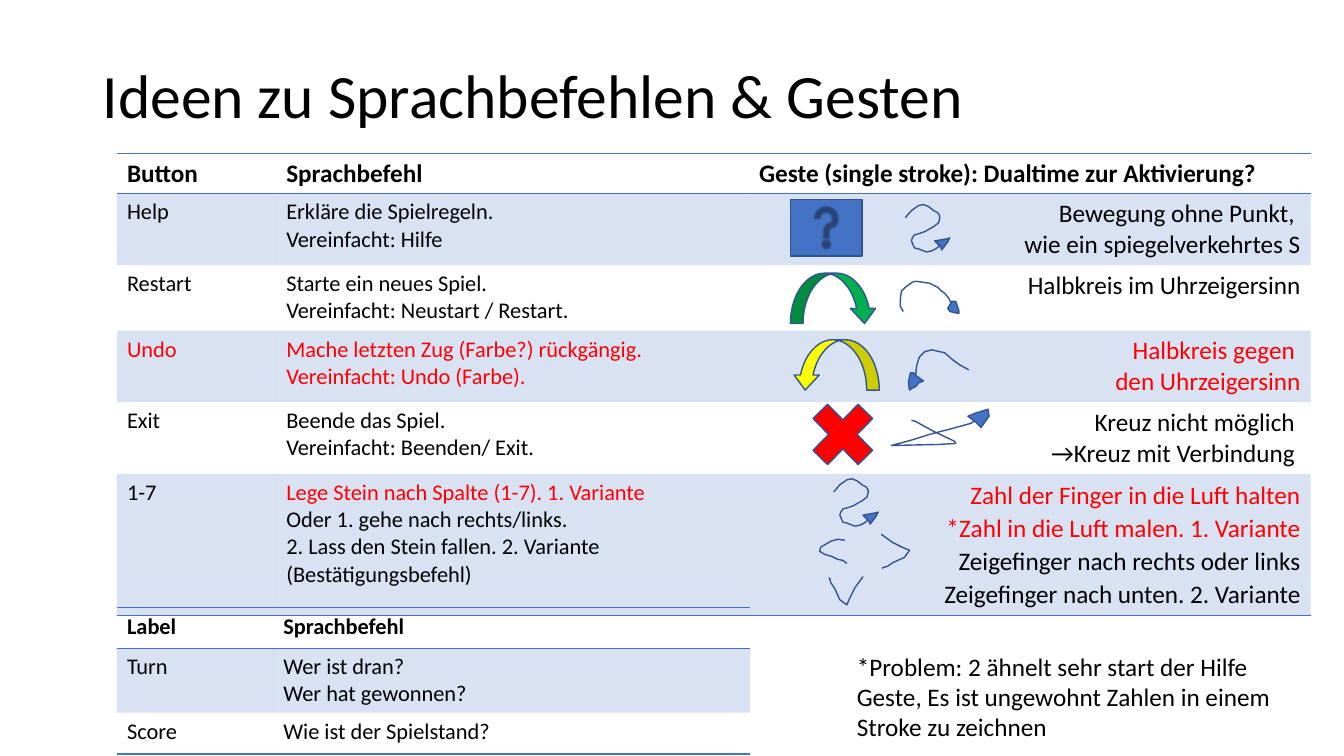
"""Build the slide on voice commands and gestures."""
from pptx import Presentation, util as u
from pptx.dml.color import RGBColor
from pptx.enum import shapes, text
from pptx.oxml import ns, parse_xml

BLACK = RGBColor(0x00, 0x00, 0x00)
RED = RGBColor(0xFF, 0x00, 0x00)
BLUE = RGBColor(0x44, 0x72, 0xC4)
OUTLINE = RGBColor(0x32, 0x54, 0x91)
GREEN = RGBColor(0x00, 0xB0, 0x50)
YELLOW = RGBColor(0xFF, 0xFF, 0x00)
NO_STYLE = "{2D5ABB26-0587-4C30-8999-92F81FD0307C}"

RED_LINES = {
    "Undo",
    "Mache letzten Zug (Farbe?) rückgängig. Vereinfacht: Undo (Farbe).",
    "Halbkreis gegen ",
    "den Uhrzeigersinn",
    "Lege Stein nach Spalte (1-7). 1. Variante",
    "Zahl der Finger in die Luft halten",
    "*Zahl in die Luft malen. 1. Variante",
}

BUTTON_ROWS = [
    ["Button", "Sprachbefehl", "Geste (single stroke): Dualtime zur Aktivierung?"],
    ["Help", "Erkläre die Spielregeln.\nVereinfacht: Hilfe",
     "Bewegung ohne Punkt, \nwie ein spiegelverkehrtes S"],
    ["Restart", "Starte ein neues Spiel. \nVereinfacht: Neustart / Restart.",
     "Halbkreis im Uhrzeigersinn"],
    ["Undo", "Mache letzten Zug (Farbe?) rückgängig. Vereinfacht: Undo (Farbe).",
     "Halbkreis gegen \nden Uhrzeigersinn"],
    ["Exit", "Beende das Spiel. \nVereinfacht: Beenden/ Exit.",
     "Kreuz nicht möglich \n→Kreuz mit Verbindung "],
    ["1-7", "Lege Stein nach Spalte (1-7). 1. Variante\nOder 1. gehe nach rechts/links.\n"
     "2. Lass den Stein fallen. 2. Variante\n(Bestätigungsbefehl)",
     "Zahl der Finger in die Luft halten\n*Zahl in die Luft malen. 1. Variante\n"
     "Zeigefinger nach rechts oder links\nZeigefinger nach unten. 2. Variante"],
]
LABEL_ROWS = [
    ["Label", "Sprachbefehl"],
    ["Turn", "Wer ist dran?\nWer hat gewonnen?"],
    ["Score", "Wie ist der Spielstand?"],
]
TABLES = [
    (1.52, [1.58, 4.69, 5.57], [0.4, 0.71, 0.65, 0.71, 0.71, 1.41], BUTTON_ROWS, 18),
    (6.03, [1.55, 4.73], [0.4, 0.64, 0.41], LABEL_ROWS, 16),
]

S_STROKE = [(8.27, 4.88), (8.33, 4.81), (8.4, 4.76), (8.45, 4.75), (8.5, 4.77), (8.55, 4.81),
            (8.59, 4.83), (8.61, 4.86), (8.61, 4.89), (8.6, 4.93), (8.55, 4.97), (8.53, 4.98),
            (8.46, 5.02), (8.4, 5.04), (8.36, 5.05), (8.34, 5.08), (8.33, 5.11), (8.36, 5.18),
            (8.4, 5.19), (8.48, 5.22), (8.53, 5.21), (8.57, 5.19), (8.6, 5.17), (8.6, 5.13)]
S_HEAD = [(8.56, 5.11), (8.68, 5.09), (8.71, 5.08), (8.69, 5.12), (8.63, 5.2), (8.62, 5.17)]
CLOCKWISE_STROKE = [(8.96, 3.09), (8.93, 3.04), (8.93, 2.97), (8.94, 2.89), (8.98, 2.85),
                    (9.05, 2.8), (9.08, 2.79), (9.15, 2.8), (9.22, 2.81), (9.3, 2.85),
                    (9.33, 2.88), (9.37, 2.91), (9.41, 2.96), (9.43, 3), (9.46, 3.06)]
CLOCKWISE_HEAD = [(9.4, 3.06), (9.44, 2.99), (9.48, 2.99), (9.51, 3.08), (9.51, 3.11),
                  (9.42, 3.09)]
COUNTER_STROKE = [(9.61, 3.67), (9.52, 3.62), (9.45, 3.57), (9.37, 3.5), (9.24, 3.47),
                  (9.17, 3.49), (9.12, 3.54), (9.1, 3.6), (9.09, 3.64), (9.08, 3.75)]
COUNTER_HEAD = [(9.03, 3.7), (9.06, 3.7), (9.09, 3.73), (9.16, 3.78), (9.11, 3.8),
                (9.09, 3.83), (9.05, 3.85), (9.02, 3.87), (9.01, 3.79)]
CROSS_STROKE = [(9.04, 4.17), (9.08, 4.18), (9.15, 4.22), (9.28, 4.29), (9.41, 4.35),
                (9.47, 4.38), (9.48, 4.4), (9.3, 4.41), (8.84, 4.42), (9.03, 4.37),
                (9.22, 4.31), (9.45, 4.25), (9.63, 4.2), (9.71, 4.15)]
CROSS_HEAD = [(9.6, 4.13), (9.68, 4.19), (9.7, 4.21), (9.73, 4.24), (9.81, 4.13),
              (9.8, 4.06), (9.67, 4.1)]
LEFT_STROKE = [(8.38, 5.36), (8.31, 5.35), (8.24, 5.37), (8.14, 5.43), (8.13, 5.47),
               (8.18, 5.5), (8.25, 5.52), (8.31, 5.55), (8.36, 5.56), (8.4, 5.59)]
RIGHT_STROKE = [(8.74, 5.3), (8.85, 5.38), (8.95, 5.43), (9.02, 5.46), (8.97, 5.53),
                (8.86, 5.58), (8.8, 5.62), (8.76, 5.63), (8.75, 5.64)]
DOWN_STROKE = [(8.38 - (y - 5.48), 5.86 + (x - 8.88)) for x, y in RIGHT_STROKE]
HELP_STROKE, HELP_HEAD = [[(x + 0.71, y - 2.72) for x, y in points]
                          for points in (S_STROKE, S_HEAD)]


def write_text(text_frame, content, size, bold=False):
    text_frame.text = content
    for paragraph in text_frame.paragraphs:
        for run in paragraph.runs:
            run.font.name = "Calibri"
            run.font.size = u.Pt(size)
            run.font.bold = bold
            run.font.color.rgb = RED if run.text in RED_LINES else BLACK


def paint(shape, color):
    shape.shadow.inherit = False
    shape.line.color.rgb = OUTLINE
    shape.line.width = u.Pt(1)
    if color is None:
        shape.fill.background()
    else:
        shape.fill.solid()
        shape.fill.fore_color.rgb = color


presentation = Presentation()
presentation.slide_width = u.Inches(13.33)
presentation.slide_height = u.Inches(7.5)
slide = presentation.slides.add_slide(presentation.slide_layouts[6])

title = slide.shapes.add_textbox(u.Inches(0.92), u.Inches(0.25), u.Inches(11.5), u.Inches(1.45))
title.text_frame.word_wrap = True
title.text_frame.vertical_anchor = text.MSO_ANCHOR.MIDDLE
write_text(title.text_frame, "Ideen zu Sprachbefehlen & Gesten", 44)
title.text_frame.paragraphs[0].line_spacing = 0.9

for top, widths, heights, rows, header_size in TABLES:
    frame = slide.shapes.add_table(len(rows), len(widths), u.Inches(1.16), u.Inches(top),
                                   u.Inches(sum(widths)), u.Inches(sum(heights)))
    frame.element.find(".//" + ns.qn("a:tableStyleId")).text = NO_STYLE
    table = frame.table
    table.horz_banding = False
    for column, width in zip(table.columns, widths):
        column.width = u.Inches(width)
    for i, (row, height) in enumerate(zip(rows, heights)):
        table.rows[i].height = u.Inches(height)
        for j, content in enumerate(row):
            cell = table.cell(i, j)
            size = header_size if i == 0 else 18 if j == 2 else 16
            write_text(cell.text_frame, content, size, bold=i == 0)
            if j == 2 and i > 0:
                for paragraph in cell.text_frame.paragraphs:
                    paragraph.alignment = text.PP_ALIGN.RIGHT
                    if i == len(rows) - 1:
                        paragraph.line_spacing = 1.07
            properties = cell._tc.get_or_add_tcPr()
            if i % 2:
                cell.fill.solid()
                cell.fill.fore_color.rgb = BLUE
                color = properties.find(".//" + ns.qn("a:srgbClr"))
                color.append(parse_xml(f'<a:alpha {ns.nsdecls("a")} val="20000"/>'))
            else:
                cell.fill.background()
            sides = ["lnB", "lnT"] if i == 0 else ["lnB"] if i == len(rows) - 1 else []
            for side in sides:
                properties.insert(0, parse_xml(
                    f'<a:{side} {ns.nsdecls("a")} w="12700"><a:solidFill>'
                    f'<a:srgbClr val="{BLUE}"/></a:solidFill></a:{side}>'))

GESTURES = [
    (S_STROKE, None), (CLOCKWISE_STROKE, None), (S_HEAD, BLUE), (CLOCKWISE_HEAD, BLUE),
    (COUNTER_STROKE, None), (COUNTER_HEAD, BLUE), (CROSS_STROKE, None), (CROSS_HEAD, BLUE),
    (LEFT_STROKE, None), (RIGHT_STROKE, None), (DOWN_STROKE, None),
    (HELP_STROKE, None), (HELP_HEAD, BLUE),
]
for points, color in GESTURES:
    start, *rest = [(u.Inches(x), u.Inches(y)) for x, y in points]
    builder = slide.shapes.build_freeform(*start)
    builder.add_line_segments(rest, close=color is not None)
    paint(builder.convert_to_shape(), color)

KINDS = shapes.MSO_SHAPE
ICONS = [
    (KINDS.CURVED_UP_ARROW, 7.84, 2.71, 0.86, 0.5, GREEN),
    (KINDS.CURVED_UP_ARROW, 7.86, 3.37, 0.86, 0.5, YELLOW),
    (KINDS.ACTION_BUTTON_HELP, 7.84, 1.98, 0.71, 0.56, BLUE),
    (KINDS.MATH_MULTIPLY, 7.93, 3.87, 0.86, 0.88, RED),
]
for kind, left, top, width, height, color in ICONS:
    icon = slide.shapes.add_shape(kind, u.Inches(left), u.Inches(top),
                                  u.Inches(width), u.Inches(height))
    paint(icon, color)
    if kind == KINDS.CURVED_UP_ARROW:
        icon.rotation = 180
        icon.adjustments[2] = 0.3
    if color == GREEN:
        icon.element.spPr.find(ns.qn("a:xfrm")).set("flipH", "1")

note = slide.shapes.add_textbox(u.Inches(8.4), u.Inches(6.41), u.Inches(4.43), u.Inches(1.01))
note.text_frame.word_wrap = True
write_text(note.text_frame, "*Problem: 2 ähnelt sehr start der Hilfe Geste, Es ist ungewohnt "
           "Zahlen in einem Stroke zu zeichnen", 18)

presentation.save("out.pptx")
